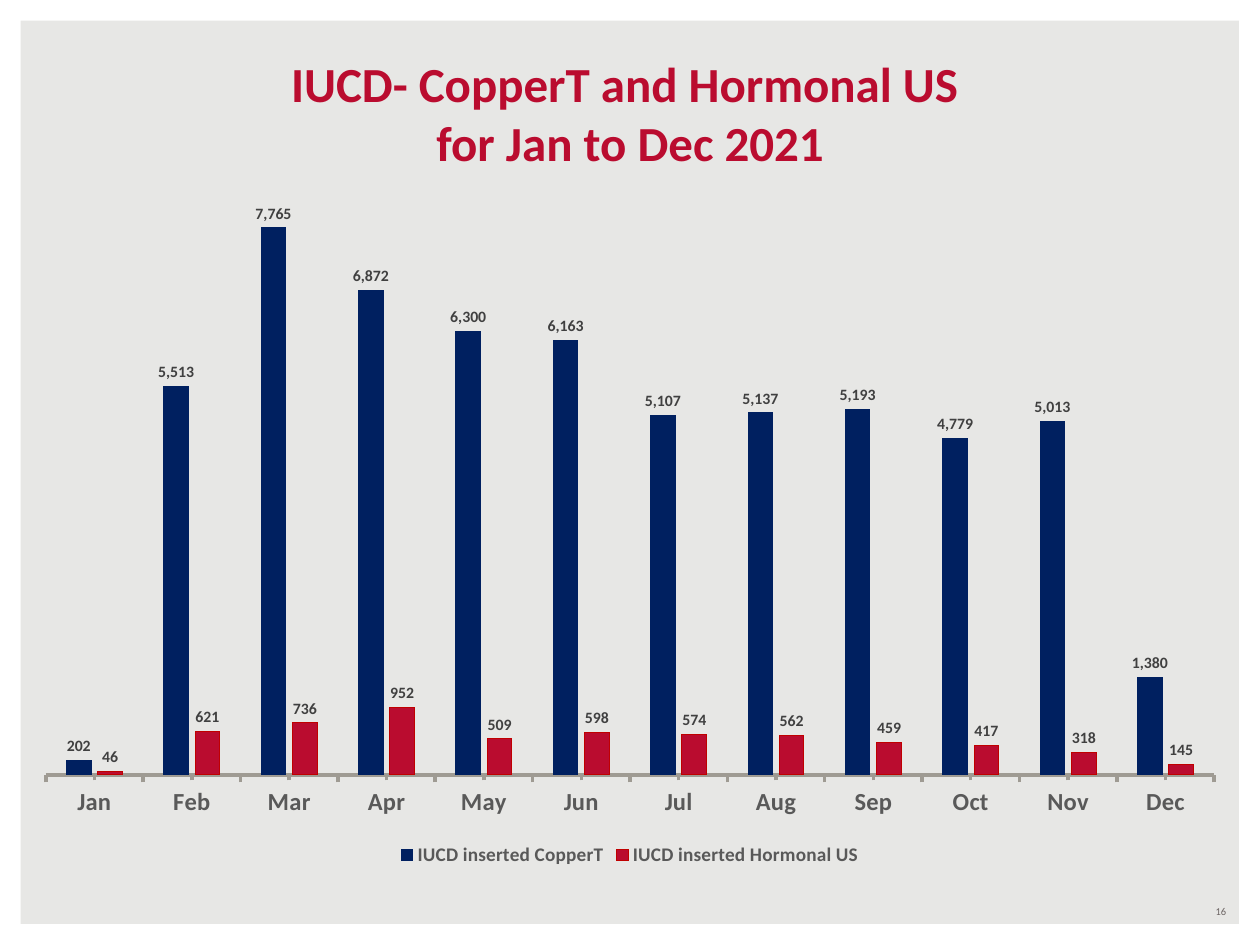
from lxml import etree
from pptx import Presentation
from pptx.chart.data import CategoryChartData
from pptx.dml.color import RGBColor
from pptx.enum.chart import (XL_CHART_TYPE, XL_LABEL_POSITION as LabelPosition,
                             XL_LEGEND_POSITION as LegendPosition, XL_TICK_MARK as TickMark)
from pptx.enum.shapes import MSO_SHAPE
from pptx.enum.text import MSO_ANCHOR, MSO_AUTO_SIZE, PP_ALIGN
from pptx.oxml.ns import qn
from pptx.util import Inches, Pt

# Content
TITLE = "IUCD- CopperT and Hormonal US \vfor Jan to Dec 2021"
PAGE_NUMBER = "16"
MONTHS = ["Jan", "Feb", "Mar", "Apr", "May", "Jun",
          "Jul", "Aug", "Sep", "Oct", "Nov", "Dec"]

# Colours
WHITE = RGBColor(0xFF, 0xFF, 0xFF)
BLACK = RGBColor(0x00, 0x00, 0x00)
BACKGROUND = RGBColor(0xE7, 0xE7, 0xE5)
NAVY = RGBColor(0x00, 0x20, 0x60)
CRIMSON = RGBColor(0xBA, 0x0C, 0x2F)
RED = RGBColor(0xC0, 0x00, 0x00)
AXIS_LINE = RGBColor(0x9F, 0x9B, 0x93)
AXIS_TEXT = RGBColor(0x59, 0x59, 0x59)
LABEL_TEXT = RGBColor(0x40, 0x40, 0x40)
PAGE_TEXT = RGBColor(0x6C, 0x64, 0x63)

# Name, values, fill, outline
SERIES = [
    ("IUCD inserted CopperT",
     [202, 5513, 7765, 6872, 6300, 6163, 5107, 5137, 5193, 4779, 5013, 1380], NAVY, NAVY),
    ("IUCD inserted Hormonal US",
     [46, 621, 736, 952, 509, 598, 574, 562, 459, 417, 318, 145], CRIMSON, RED),
]
NUMBER_FORMAT = '_(* #,##0_);_(* \\(#,##0\\);_(* "-"??_);_(@_)'
PLOT_LAYOUT = {"layoutTarget": "inner", "xMode": "edge", "yMode": "edge",
               "x": 0.02, "y": 0.02, "w": 0.96, "h": 0.85}

# Layout
WIDTH, HEIGHT = 10, 7.5
MARGIN = 0.17
CONTENT_WIDTH = WIDTH - 2 * MARGIN


def set_attributes(target, **values):
    for name, value in values.items():
        setattr(target, name, value)


def format_font(font, size, color, bold=False):
    set_attributes(font, name="Calibri", size=Pt(size), bold=bold)
    font.color.rgb = color


def write_text(shape, text, align, anchor, size, color, bold=False):
    frame = shape.text_frame
    frame.text = text
    set_attributes(frame, word_wrap=True, vertical_anchor=anchor,
                   auto_size=MSO_AUTO_SIZE.SHAPE_TO_FIT_TEXT)
    paragraph = frame.paragraphs[0]
    paragraph.alignment = align
    for run in paragraph.runs:
        format_font(run.font, size, color, bold)


def set_plot_layout(chart):
    plot_area = chart.plots[0]._element.getparent()
    for old in plot_area.findall(qn("c:layout")):
        plot_area.remove(old)
    layout = etree.Element(qn("c:layout"))
    manual = etree.SubElement(layout, qn("c:manualLayout"))
    for name, value in PLOT_LAYOUT.items():
        etree.SubElement(manual, qn(f"c:{name}")).set("val", str(value))
    plot_area.insert(0, layout)


def add_column_chart(slide):
    data = CategoryChartData(number_format=NUMBER_FORMAT)
    data.categories = MONTHS
    for name, values, _, _ in SERIES:
        data.add_series(name, values)
    chart = slide.shapes.add_chart(
        XL_CHART_TYPE.COLUMN_CLUSTERED, Inches(MARGIN), Inches(1),
        Inches(CONTENT_WIDTH), Inches(5.92), data).chart
    chart.has_title = False
    format_font(chart.font, 10, BLACK)
    set_plot_layout(chart)

    # Columns and their labels
    plot = chart.plots[0]
    set_attributes(plot, gap_width=168, overlap=-27, vary_by_categories=False)
    for series, (_, _, fill, outline) in zip(plot.series, SERIES):
        series.format.fill.solid()
        series.format.fill.fore_color.rgb = fill
        series.format.line.color.rgb = outline
        series.format.line.width = Pt(0)
        labels = series.data_labels
        set_attributes(labels, show_value=True, position=LabelPosition.OUTSIDE_END,
                       number_format=NUMBER_FORMAT, number_format_is_linked=False)
        format_font(labels.font, 9, LABEL_TEXT, bold=True)

    # Axes and legend
    months = chart.category_axis
    set_attributes(months, major_tick_mark=TickMark.OUTSIDE,
                   minor_tick_mark=TickMark.OUTSIDE, has_major_gridlines=False)
    format_font(months.tick_labels.font, 14, AXIS_TEXT, bold=True)
    months.format.line.color.rgb = AXIS_LINE
    months.format.line.width = Pt(2)
    set_attributes(chart.value_axis, visible=False, has_major_gridlines=False,
                   minimum_scale=0, maximum_scale=9000)
    chart.has_legend = True
    set_attributes(chart.legend, position=LegendPosition.BOTTOM, include_in_layout=False)
    format_font(chart.legend.font, 11, AXIS_TEXT, bold=True)


def main():
    presentation = Presentation()
    set_attributes(presentation, slide_width=Inches(WIDTH), slide_height=Inches(HEIGHT))
    slide = presentation.slides.add_slide(presentation.slide_layouts[5])
    slide.background.fill.solid()
    slide.background.fill.fore_color.rgb = BACKGROUND

    # White border
    border = slide.shapes.add_shape(MSO_SHAPE.FRAME, 0, 0, Inches(WIDTH), Inches(HEIGHT))
    border.adjustments[0] = 0.022
    border.shadow.inherit = False
    border.fill.solid()
    border.fill.fore_color.rgb = WHITE
    border.line.fill.background()

    add_column_chart(slide)

    # Page number
    page_box = slide.shapes.add_textbox(
        Inches(7.5), Inches(7.13), Inches(2.33), Inches(0.2))
    write_text(page_box, PAGE_NUMBER, PP_ALIGN.RIGHT, MSO_ANCHOR.MIDDLE, 6, PAGE_TEXT)

    # Title
    title = slide.shapes.title
    set_attributes(title, left=Inches(MARGIN), top=Inches(0.37),
                   width=Inches(CONTENT_WIDTH), height=Inches(1.04))
    write_text(title, TITLE, PP_ALIGN.CENTER, MSO_ANCHOR.BOTTOM, 28, CRIMSON, bold=True)

    presentation.save("out.pptx")


if __name__ == "__main__":
    main()
